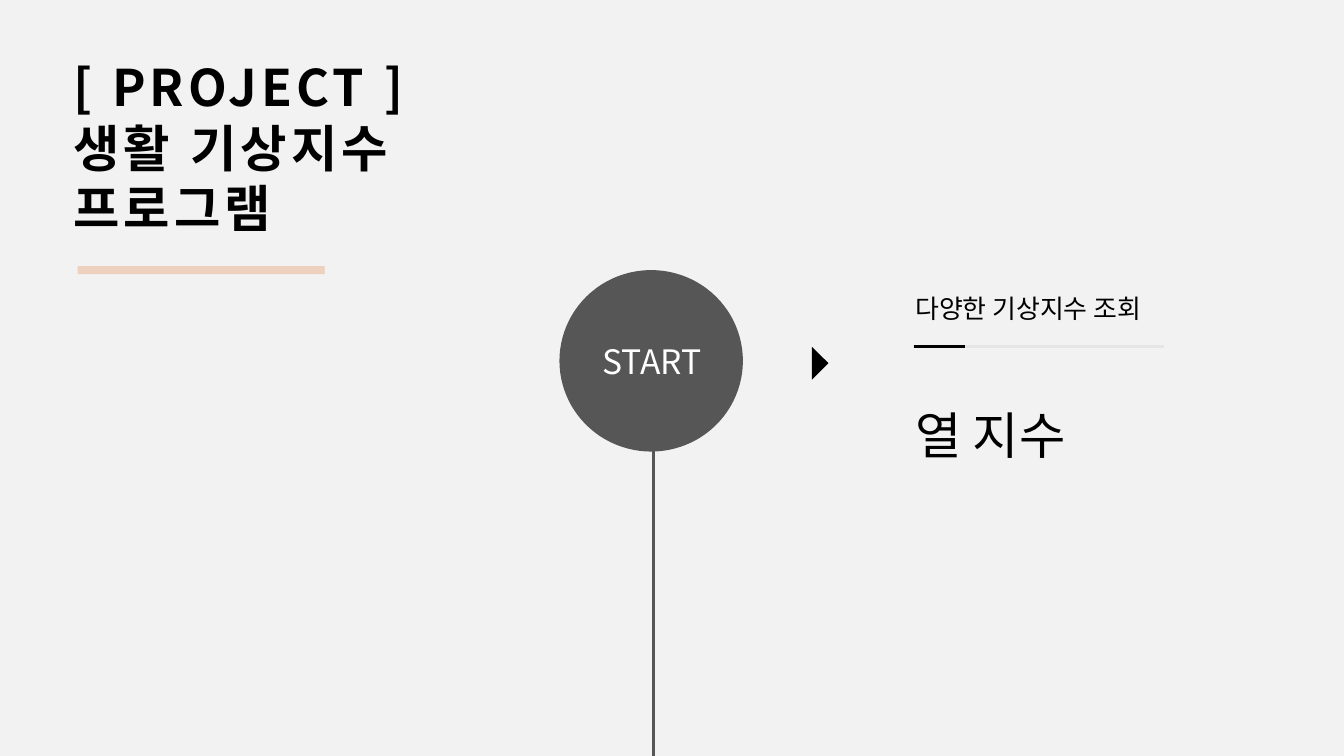
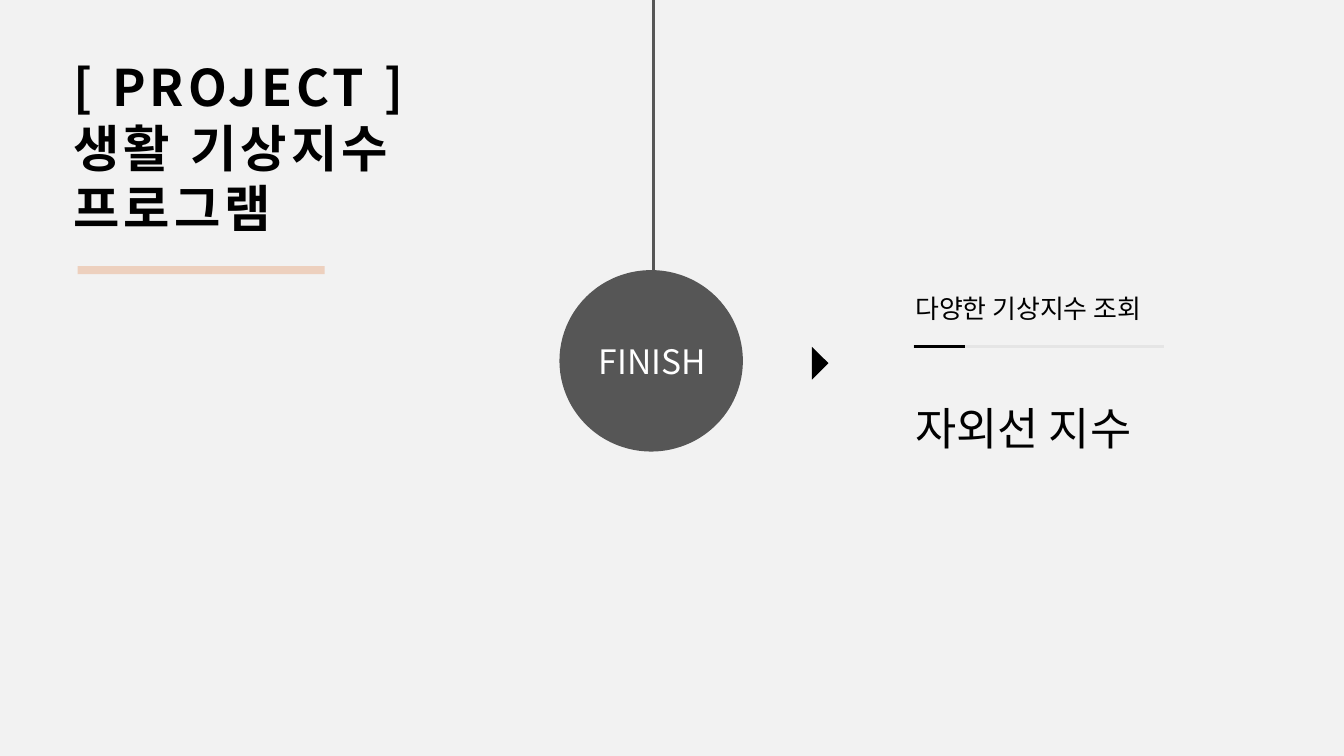
from dataclasses import dataclass

from pptx import Presentation
from pptx.dml.color import RGBColor
from pptx.enum.shapes import MSO_CONNECTOR, MSO_SHAPE
from pptx.enum.text import MSO_ANCHOR, PP_ALIGN
from pptx.oxml.ns import qn
from pptx.shapes.base import BaseShape
from pptx.slide import Slide
from pptx.util import Pt

RECT, OVAL = MSO_SHAPE.RECTANGLE, MSO_SHAPE.OVAL
STRAIGHT = MSO_CONNECTOR.STRAIGHT
TOP, MIDDLE = MSO_ANCHOR.TOP, MSO_ANCHOR.MIDDLE
LEFT, CENTER = PP_ALIGN.LEFT, PP_ALIGN.CENTER

FONT = "Noto Sans CJK KR"
PAPER, PEACH, GRAPHITE = "F2F2F2", "EDD0BE", "565656"
BLACK, WHITE, PALE = "000000", "FFFFFF", "E5E5E5"

SLIDE_W, SLIDE_H = 960, 540
STEM_X = 466.56
RULE_Y = 247.68
RULE_W = 2
TITLE = ["[ PROJECT ]", "생활 기상지수", "프로그램"]
SUBTITLE = "다양한 기상지수 조회"


@dataclass(frozen=True)
class Box:
    """A rectangle in points."""
    x: float
    y: float
    w: float
    h: float


@dataclass(frozen=True)
class Style:
    """The look of a text box."""
    size: float
    color: str = BLACK
    bold: bool = False
    tracking: float = 0
    align: PP_ALIGN = LEFT
    anchor: MSO_ANCHOR = TOP
    spacing: float = 1.0
    inset_x: float = 2.88
    inset_y: float = 2.88


@dataclass(frozen=True)
class Stage:
    """One stop on the timeline: its label, index name and stem."""
    label: str
    index_name: str
    name_size: float
    stem_top: float
    stem_bottom: float


TITLE_BOX = Box(45.36, 36.72, 371.52, 138.24)
TITLE_BAR = Box(55.44, 190.08, 176.4, 5.76)
CIRCLE = Box(399.6, 192.96, 131.04, 129.6)
LABEL_BOX = Box(424.08, 240.48, 83.52, 35.28)
SUBTITLE_BOX = Box(650.88, 205.92, 199.44, 33.12)
NAME_BOX = Box(650.88, 264.24, 193.68, 95.76)
POINTER = Box(580, 247.68, 11.75, 23.5)

TITLE_STYLE = Style(36, bold=True, tracking=3, inset_x=7.2, inset_y=3.6)
LABEL_STYLE = Style(24, WHITE, align=CENTER, anchor=MIDDLE)
SUBTITLE_STYLE = Style(18.5)

STAGES = [
    Stage("START", "열 지수", 36, 254.16, SLIDE_H),
    Stage("FINISH", "자외선 지수", 32, 0, 293.04),
]


def rgb(color: str) -> RGBColor:
    """Turn a hex string into a colour."""
    return RGBColor.from_string(color)


def paint(sp: BaseShape, color: str) -> None:
    """Fill a shape flat, with no outline and no shadow."""
    sp.shadow.inherit = False
    sp.fill.solid()
    sp.fill.fore_color.rgb = rgb(color)
    sp.line.fill.background()


def add_block(s: Slide, kind: MSO_SHAPE, box: Box, color: str) -> None:
    """Add a flat preset shape."""
    paint(s.shapes.add_shape(kind, Pt(box.x), Pt(box.y), Pt(box.w), Pt(box.h)), color)


def add_line(s: Slide, x1: float, y1: float, x2: float, y2: float, color: str) -> None:
    """Add a straight rule without shadow."""
    line = s.shapes.add_connector(STRAIGHT, Pt(x1), Pt(y1), Pt(x2), Pt(y2))
    line.line.color.rgb = rgb(color)
    line.line.width = Pt(RULE_W)
    sp_pr = line._element.spPr
    sp_pr.append(sp_pr.makeelement(qn("a:effectLst"), {}))


def add_text(s: Slide, box: Box, lines: list[str], style: Style) -> None:
    """Add a text box with one paragraph per line."""
    sp = s.shapes.add_textbox(Pt(box.x), Pt(box.y), Pt(box.w), Pt(box.h))
    tf = sp.text_frame
    tf.word_wrap = True
    tf.vertical_anchor = style.anchor
    tf.margin_left = tf.margin_right = Pt(style.inset_x)
    tf.margin_top = tf.margin_bottom = Pt(style.inset_y)
    for i, line in enumerate(lines):
        p = tf.add_paragraph() if i else tf.paragraphs[0]
        p.alignment = style.align
        p.line_spacing = style.spacing
        r = p.add_run()
        r.text = line
        r.font.name = FONT
        r.font.size = Pt(style.size)
        r.font.bold = style.bold
        r.font.color.rgb = rgb(style.color)
        r_pr = r.font._element
        r_pr.append(r_pr.makeelement(qn("a:ea"), {"typeface": FONT}))
        if style.tracking:
            r_pr.set("spc", str(round(style.tracking * 100)))


def add_pointer(s: Slide, box: Box) -> None:
    """Add a triangle that points right."""
    outline = s.shapes.build_freeform(Pt(box.x), Pt(box.y))
    outline.add_line_segments([
        (Pt(box.x + box.w), Pt(box.y + box.h / 2)),
        (Pt(box.x), Pt(box.y + box.h)),
    ])
    paint(outline.convert_to_shape(), BLACK)


def add_title(s: Slide) -> None:
    """Add the project title and its bar."""
    add_block(s, RECT, TITLE_BAR, PEACH)
    add_text(s, TITLE_BOX, TITLE, TITLE_STYLE)


def add_stage(s: Slide, stage: Stage) -> None:
    """Add the timeline stop and the index it leads to."""
    add_line(s, STEM_X, stage.stem_top, STEM_X, stage.stem_bottom, GRAPHITE)
    add_block(s, OVAL, CIRCLE, GRAPHITE)
    add_text(s, LABEL_BOX, [stage.label], LABEL_STYLE)
    add_pointer(s, POINTER)
    add_text(s, SUBTITLE_BOX, [SUBTITLE], SUBTITLE_STYLE)
    add_text(s, NAME_BOX, [stage.index_name], Style(stage.name_size, spacing=1.5))
    add_line(s, 652.5, RULE_Y, 831.6, RULE_Y, PALE)
    add_line(s, 653, RULE_Y, 689, RULE_Y, BLACK)


def main() -> None:
    """Build and save the deck."""
    prs = Presentation()
    prs.slide_width, prs.slide_height = Pt(SLIDE_W), Pt(SLIDE_H)
    fill = prs.slide_master.background.fill
    fill.solid()
    fill.fore_color.rgb = rgb(PAPER)
    for stage in STAGES:
        s = prs.slides.add_slide(prs.slide_layouts[6])
        add_title(s)
        add_stage(s, stage)
    prs.save("out.pptx")


main()
